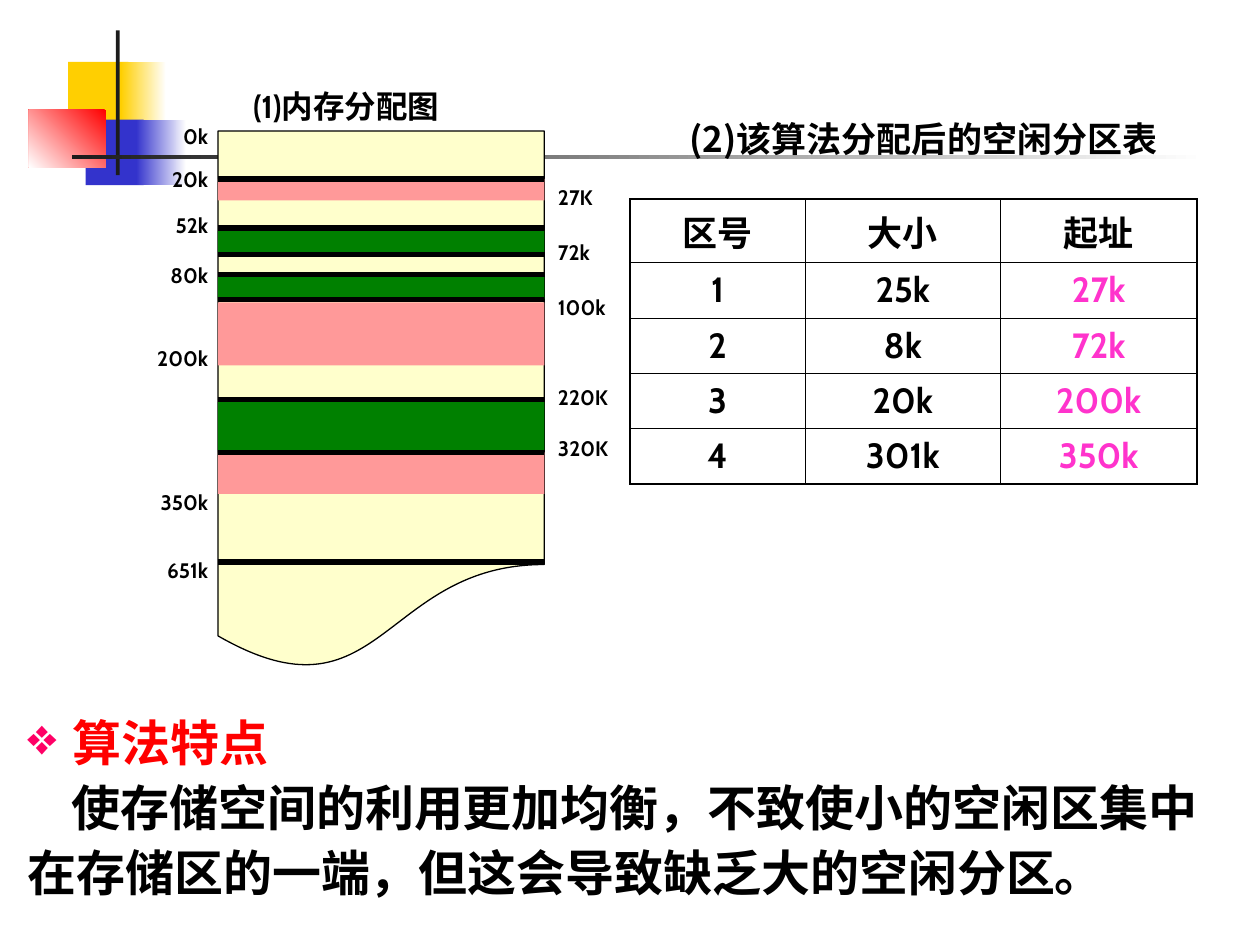
import pptx
import pptx.dml.color
import pptx.enum.shapes
import pptx.enum.text
import pptx.oxml
import pptx.oxml.ns
import pptx.util
import lxml.etree

Inches = pptx.util.Inches
Pt = pptx.util.Pt
Shape = pptx.enum.shapes.MSO_SHAPE
Align = pptx.enum.text.PP_ALIGN
qn = pptx.oxml.ns.qn

COLORS = {
    "black": "000000", "white": "FFFFFF", "dark": "1C1C1C", "gold": "FFCF01",
    "blue": "3333CC", "red": "FF0000", "pink": "FF33CC", "rose": "FF0066",
    "cream": "FFFFCC", "salmon": "FF9999", "green": "008000",
}
SANS = "Noto Sans CJK SC"
CABIN = "Cabin"


def color(name):
    return pptx.dml.color.RGBColor.from_string(COLORS[name])


def write(para, text, size=20, ink="black", font=SANS, align=None, pitch=None, before=None):
    run = para.add_run()
    run.text = text
    run.font.size = Pt(size)
    run.font.bold = True
    run.font.name = font
    run.font.color.rgb = color(ink)
    east = lxml.etree.SubElement(run.font._element, qn("a:ea"))
    east.set("typeface", SANS)
    if align is not None:
        para.alignment = align
    if pitch:
        para.line_spacing = Pt(pitch)
    if before:
        para.space_before = Pt(before)


class Deck:
    def __init__(self):
        self.file = pptx.Presentation()
        self.file.slide_width = Inches(10)
        self.file.slide_height = Inches(7.5)
        self.slide = self.file.slides.add_slide(self.file.slide_layouts[6])
        self.shapes = self.slide.shapes

    def block(self, x, y, w, h, fill, kind=Shape.RECTANGLE, edge=None, fade=None, angle=180):
        shape = self.shapes.add_shape(kind, Inches(x), Inches(y), Inches(w), Inches(h))
        shape.shadow.inherit = False
        if fade:
            shape.fill.gradient()
            shape.fill.gradient_angle = angle
            for stop, name in zip(shape.fill.gradient_stops, (fill, fade)):
                stop.color.rgb = color(name)
        else:
            shape.fill.solid()
            shape.fill.fore_color.rgb = color(fill)
        if edge:
            shape.line.color.rgb = color("black")
            shape.line.width = Pt(edge)
        else:
            shape.line.fill.background()

    def line(self, x, y, w):
        line = self.shapes.add_connector(
            pptx.enum.shapes.MSO_CONNECTOR.STRAIGHT,
            Inches(x), Inches(y), Inches(x + w), Inches(y))
        line.line.color.rgb = color("black")
        line.line.width = Pt(3)
        lxml.etree.SubElement(line._element.spPr, qn("a:effectLst"))

    def text(self, x, y, w, h):
        frame = self.shapes.add_textbox(Inches(x), Inches(y), Inches(w), Inches(h)).text_frame
        frame.word_wrap = True
        return frame

    def marks(self, x, w, h, align, items):
        pitch = 14
        last = items[0][1]
        frame = self.text(x, last - 0.15, w, h)
        for i, (name, mid) in enumerate(items):
            para = frame.paragraphs[0] if i == 0 else frame.add_paragraph()
            gap = round((mid - last) * 72 - pitch, 1) if i else None
            write(para, name, size=12, font=CABIN, align=align, pitch=pitch, before=gap)
            last = mid

    def bullet(self, para, sign, ink, scale, hang):
        props = para._p.get_or_add_pPr()
        props.set("marL", str(Inches(hang)))
        props.set("indent", str(-Inches(hang)))
        tint = lxml.etree.SubElement(props, qn("a:buClr"))
        lxml.etree.SubElement(tint, qn("a:srgbClr")).set("val", COLORS[ink])
        lxml.etree.SubElement(props, qn("a:buSzPct")).set("val", str(scale * 1000))
        lxml.etree.SubElement(props, qn("a:buChar")).set("char", sign)

    def border(self, cell, sides):
        props = cell._tc.get_or_add_tcPr()
        for side, width in sides.items():
            edge = lxml.etree.SubElement(props, qn(f"a:ln{side}"))
            edge.set("w", str(Pt(width)))
            fill = lxml.etree.SubElement(edge, qn("a:solidFill"))
            lxml.etree.SubElement(fill, qn("a:srgbClr")).set("val", COLORS["black"])

    def table(self, x, y, widths, height, rows):
        table = self.shapes.add_table(
            len(rows), len(widths), Inches(x), Inches(y),
            Inches(sum(widths)), Inches(height * len(rows))).table
        for col, width in zip(table.columns, widths):
            col.width = Inches(width)
        thick, thin = 1.08, 0.45
        end, base = len(widths) - 1, len(rows) - 1
        for r, row in enumerate(rows):
            table.rows[r].height = Inches(height)
            for c, value in enumerate(row):
                cell = table.cell(r, c)
                self.border(cell, {
                    "L": thick if c == 0 else thin, "R": thick if c == end else thin,
                    "T": thick if r == 0 else thin, "B": thick if r == base else thin})
                cell.fill.background()
                write(cell.text_frame.paragraphs[0], value, font=CABIN, align=Align.CENTER,
                      ink="pink" if r and c == end else "black")


def main():
    deck = Deck()

    deck.block(0.54, 0.49, 0.48, 0.52, "gold")
    deck.block(0.96, 0.49, 0.36, 0.52, "white", fade="gold")
    deck.block(0.68, 0.95, 0.46, 0.52, "blue")
    deck.block(1.08, 0.95, 0.4, 0.52, "white", fade="blue")
    deck.block(0.23, 0.87, 0.61, 0.46, "red", fade="white", angle=225)
    deck.block(0.92, 0.24, 0.03, 1.15, "dark")
    deck.block(0.57, 1.23, 9, 0.03, "white", fade="dark")

    deck.table(5, 1.58, (1.39, 1.55, 1.56), 0.44, [
        ("区号", "大小", "起址"),
        ("1", "25k", "27k"),
        ("2", "8k", "72k"),
        ("3", "20k", "200k"),
        ("4", "301k", "350k"),
    ])

    title = deck.text(4.83, 0.88, 5, 0.5).paragraphs[0]
    write(title, "(2)该算法分配后的空闲分区表", align=Align.CENTER)

    left, wide = 1.73, 2.59
    deck.block(left, 1.04, wide, 4.29, "cream", kind=Shape.FLOWCHART_DOCUMENT, edge=0.75)
    bands = [
        (1.42, 0.17, "salmon"), (1.83, 0.17, "green"), (2.2, 0.17, "green"),
        (2.4, 0.5, "salmon"), (3.19, 0.38, "green"), (3.59, 0.33, "salmon"),
    ]
    for y, h, fill in bands:
        deck.block(left, y, wide, h, fill)
    for y in (1.42, 1.81, 2.02, 2.18, 2.38, 3.17, 3.59, 4.46):
        deck.line(left, y, wide)

    deck.marks(0.67, 1.08, 3.76, Align.RIGHT, [
        ("0k", 1.09), ("20k", 1.43), ("52k", 1.79), ("80k", 2.19),
        ("200k", 2.85), ("350k", 3.99), ("651k", 4.53),
    ])
    deck.marks(4.33, 0.82, 2.58, Align.LEFT, [
        ("27K", 1.57), ("72k", 2.01), ("100k", 2.44), ("220K", 3.16), ("320K", 3.56),
    ])

    head = deck.text(1.91, 0.64, 2.22, 0.46).paragraphs[0]
    write(head, "(1)", size=18, font=CABIN)
    write(head, "内存分配图", size=18, font="Times New Roman")

    body = deck.text(0.12, 5.56, 9.73, 1.64)
    point = body.paragraphs[0]
    write(point, "算法特点", size=28, ink="red", pitch=37)
    deck.bullet(point, "❖", "rose", 105, 0.36)
    note = body.add_paragraph()
    write(note, "使存储空间的利用更加均衡，不致使小的空闲区集中在存储区的一端，但这会导致缺乏大的空闲分区。",
          size=28, pitch=37)
    note._p.get_or_add_pPr().set("indent", str(Inches(0.35)))

    deck.file.save("out.pptx")


if __name__ == "__main__":
    main()
